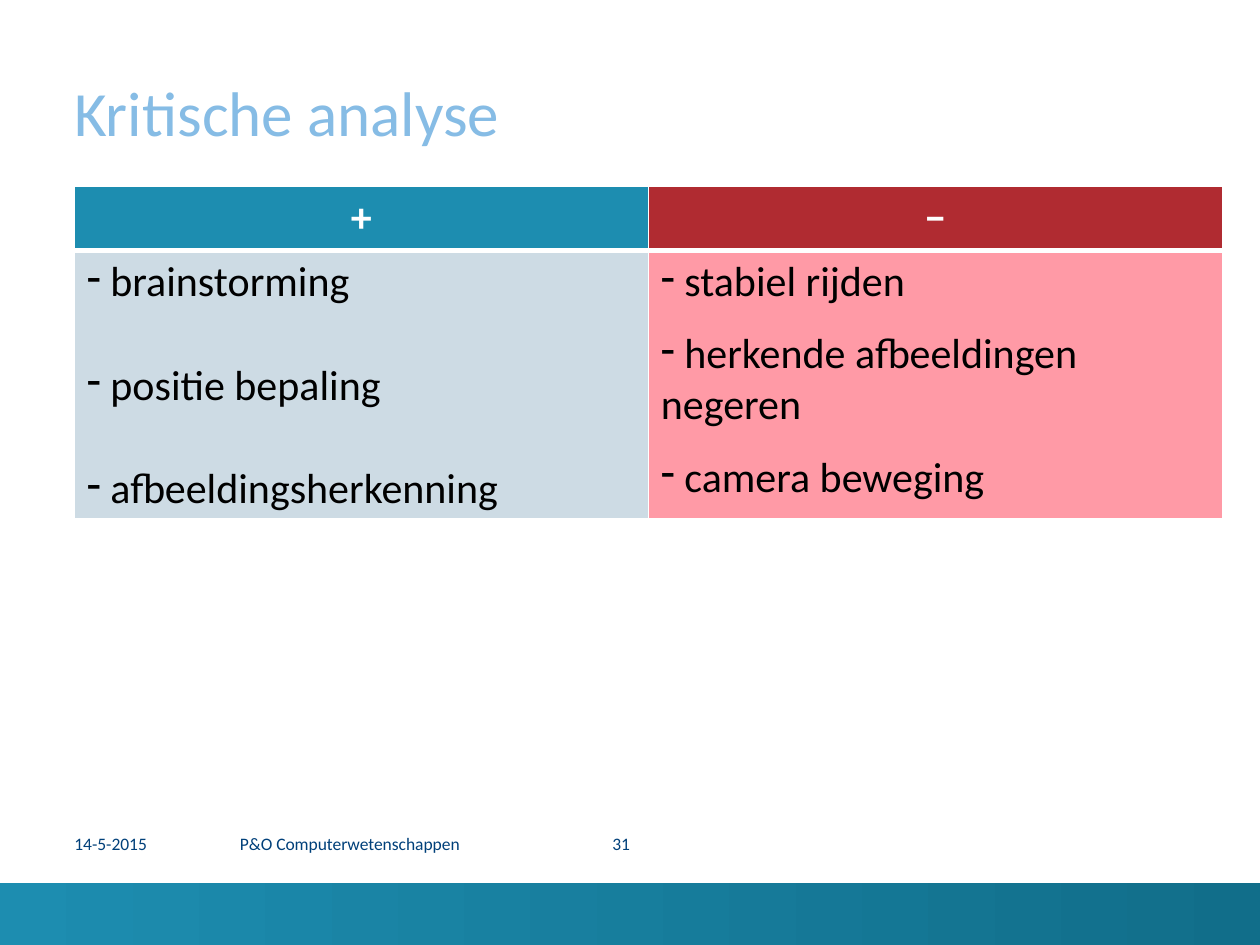
from dataclasses import dataclass

from lxml import etree
from pptx import Presentation
from pptx.dml.color import RGBColor
from pptx.enum.shapes import MSO_SHAPE
from pptx.enum.text import MSO_ANCHOR, PP_ALIGN
from pptx.oxml.ns import qn
from pptx.util import Pt

LEFT, CENTER, RIGHT = PP_ALIGN.LEFT, PP_ALIGN.CENTER, PP_ALIGN.RIGHT
TOP, MIDDLE, BOTTOM = MSO_ANCHOR.TOP, MSO_ANCHOR.MIDDLE, MSO_ANCHOR.BOTTOM
RECTANGLE = MSO_SHAPE.RECTANGLE

FONT = "Calibri"
COLORS = {
    "title": "86BCE5",
    "footer": "00407A",
    "white": "FFFFFF",
    "black": "000000",
    "bar_start": "1D8DB0",
    "bar_end": "116E8A",
    "plus_head": "1D8DB0",
    "plus_body": "CDDBE4",
    "minus_head": "B02B31",
    "minus_body": "FF9AA6",
}
SLIDE_W, SLIDE_H = 720, 540
MARGIN = 42.5
CONTENT_W = 656
HEAD_H, BODY_H = 36.5, 153.5
BAR_H = 35.5
FOOTER_TOP, FOOTER_H = 476, 22


@dataclass(frozen=True)
class AnalysisColumn:
    sign: str
    points: tuple[str, ...]
    head_color: str
    body_color: str
    gap: float


@dataclass(frozen=True)
class FooterField:
    text: str
    left: float
    width: float
    align: PP_ALIGN


COLUMNS = (
    AnalysisColumn("+", ("brainstorming", "positie bepaling", "afbeeldingsherkenning"),
                   "plus_head", "plus_body", 30),
    AnalysisColumn("−", ("stabiel rijden", "herkende afbeeldingen negeren", "camera beweging"),
                   "minus_head", "minus_body", 12),
)
FOOTER = (
    FooterField("14-5-2015", MARGIN, 73.5, LEFT),
    FooterField("P&O Computerwetenschappen ", 123, 156, CENTER),
    FooterField("31", 286.5, 73.5, RIGHT),
)


def rgb(name: str) -> RGBColor:
    return RGBColor.from_string(COLORS[name])


def write(paragraph, text: str, *, size: float, color: str, bold: bool = False,
          align: PP_ALIGN = LEFT, bullet: str = "", space_after: float = 0) -> None:
    if bullet:
        properties = paragraph._p.get_or_add_pPr()
        properties.set("marL", "0")
        properties.set("indent", "0")
        etree.SubElement(properties, qn("a:buChar")).set("char", bullet)
    paragraph.alignment = align
    paragraph.space_after = Pt(space_after)
    run = paragraph.add_run()
    run.text = text
    run.font.name = FONT
    run.font.size = Pt(size)
    run.font.bold = bold
    run.font.color.rgb = rgb(color)


def add_label(slide, text: str, left: float, top: float, width: float, height: float,
              anchor: MSO_ANCHOR = TOP, **text_format) -> None:
    frame = slide.shapes.add_textbox(Pt(left), Pt(top), Pt(width), Pt(height)).text_frame
    frame.word_wrap = True
    frame.vertical_anchor = anchor
    frame.margin_left = frame.margin_right = frame.margin_top = frame.margin_bottom = 0
    write(frame.paragraphs[0], text, **text_format)


def style_cell(cell, fill: str, **border_widths: float) -> None:
    """Fill the cell and give it white borders, 1 pt unless a side says otherwise."""
    cell.fill.solid()
    cell.fill.fore_color.rgb = rgb(fill)
    properties = cell._tc.get_or_add_tcPr()
    for position, side in enumerate("LRTB"):
        line = etree.Element(qn(f"a:ln{side}"), w=str(Pt(border_widths.get(side, 1))))
        solid = etree.SubElement(line, qn("a:solidFill"))
        etree.SubElement(solid, qn("a:srgbClr"), val=COLORS["white"])
        properties.insert(position, line)


def add_bottom_bar(slide) -> None:
    bar = slide.shapes.add_shape(RECTANGLE, 0, Pt(SLIDE_H - BAR_H), Pt(SLIDE_W), Pt(BAR_H))
    bar.shadow.inherit = False
    bar.line.fill.background()
    bar.fill.gradient()
    bar.fill.gradient_angle = 0
    for stop, color in zip(bar.fill.gradient_stops, ("bar_start", "bar_end")):
        stop.color.rgb = rgb(color)


def add_analysis_table(slide) -> None:
    table = slide.shapes.add_table(2, len(COLUMNS), Pt(MARGIN), Pt(106.5),
                                   Pt(CONTENT_W), Pt(HEAD_H + BODY_H)).table
    table.horz_banding = False
    for row, height in zip(table.rows, (HEAD_H, BODY_H)):
        row.height = Pt(height)
    for index, column in enumerate(COLUMNS):
        table.columns[index].width = Pt(CONTENT_W / len(COLUMNS))
        head, body = table.cell(0, index), table.cell(1, index)
        style_cell(head, column.head_color, B=3)
        style_cell(body, column.body_color, T=3)
        head.vertical_anchor = MIDDLE
        write(head.text_frame.paragraphs[0], column.sign,
              size=24, color="white", bold=True, align=CENTER)
        for number, point in enumerate(column.points):
            frame = body.text_frame
            paragraph = frame.add_paragraph() if number else frame.paragraphs[0]
            write(paragraph, f" {point}", size=24, color="black",
                  bullet="-", space_after=column.gap)


def main() -> None:
    presentation = Presentation()
    presentation.slide_width, presentation.slide_height = Pt(SLIDE_W), Pt(SLIDE_H)
    slide = presentation.slides.add_slide(presentation.slide_layouts[6])
    add_bottom_bar(slide)
    add_label(slide, "Kritische analyse", MARGIN, 14.5, CONTENT_W, 70.5, BOTTOM,
              size=36, color="title")
    add_analysis_table(slide)
    for field in FOOTER:
        add_label(slide, field.text, field.left, FOOTER_TOP, field.width, FOOTER_H,
                  size=10, color="footer", align=field.align)
    presentation.save("out.pptx")


if __name__ == "__main__":
    main()
